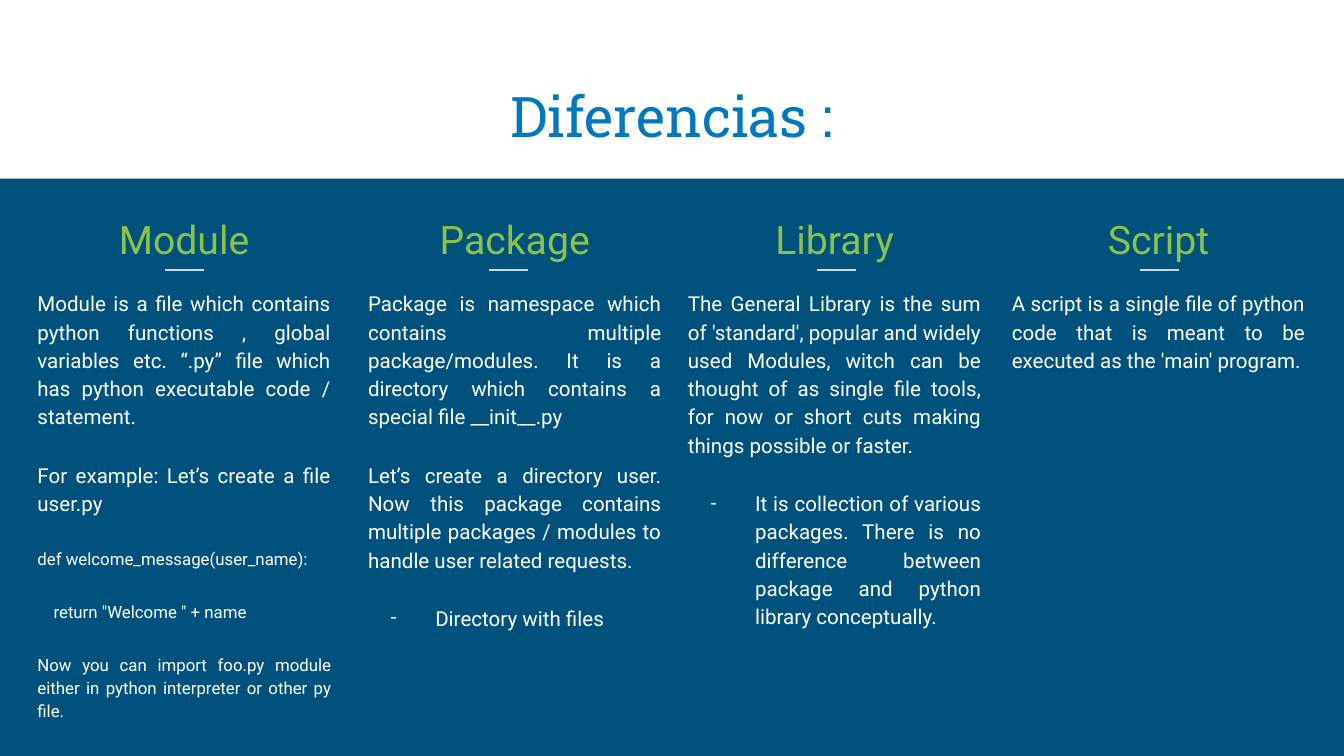
import pptx
import pptx.dml.color
import pptx.enum.shapes
import pptx.enum.text
import pptx.oxml.ns
import pptx.util
from lxml import etree

Inches = pptx.util.Inches
Pt = pptx.util.Pt
RGBColor = pptx.dml.color.RGBColor
Align = pptx.enum.text.PP_ALIGN
Anchor = pptx.enum.text.MSO_ANCHOR
qn = pptx.oxml.ns.qn

NAVY = RGBColor(0x00, 0x51, 0x7C)
WHITE = RGBColor(0xFF, 0xFF, 0xFF)
BLUE = RGBColor(0x02, 0x77, 0xBD)
GREEN = RGBColor(0x8B, 0xC3, 0x4A)
GREY = RGBColor(0xCF, 0xD8, 0xDC)

TITLE_FONT = {"name": "Roboto Slab", "size": Pt(30)}
HEADING_FONT = {"name": "Roboto", "size": Pt(21)}
BODY_FONT = {"name": "Roboto", "size": Pt(11)}
CODE_FONT = {"name": "Roboto", "size": Pt(9)}

PLAIN = {"font": BODY_FONT}
DASH = {"font": BODY_FONT, "bullet": "-", "left": 0.5, "hanging": -0.33}
CODE = {"font": CODE_FONT}
CODE_INDENTED = {"font": CODE_FONT, "left": 0.12}

SLIDE_WIDTH = Inches(10)
SLIDE_HEIGHT = SLIDE_WIDTH * 9 // 16
COLUMN_WIDTH = 2.38
DIVIDER_WIDTH = 0.29

COLUMNS = [
    {"heading": "Module", "left": 0.18, "divider": 1.23, "height": 3.43, "body": [
        ("Module is a file which contains python functions , global variables etc. "
         "“.py” file which has python executable code / statement.", PLAIN),
        ("For example: Let’s create a file user.py", PLAIN),
        ("def welcome_message(user_name):", CODE),
        ('return "Welcome " + name', CODE_INDENTED),
        ("Now you can import foo.py module either in python interpreter or other "
         "py file.", CODE),
    ]},
    {"heading": "Package", "left": 2.64, "divider": 3.64, "height": 3.43, "body": [
        ("Package is namespace which contains multiple package/modules. It is a "
         "directory which contains a special file __init__.py", PLAIN),
        ("Let’s create a directory user. Now this package contains multiple "
         "packages / modules to handle user related requests.", PLAIN),
        ("Directory with files", DASH),
    ]},
    {"heading": "Library", "left": 5.02, "divider": 6.08, "height": 3.43, "body": [
        ("The General Library is the sum of 'standard', popular and widely used "
         "Modules, witch can be thought of as single file tools, for now or short "
         "cuts making things possible or faster.", PLAIN),
        ("It is collection of various packages. There is no difference between "
         "package and python library conceptually.", DASH),
    ]},
    {"heading": "Script", "left": 7.43, "divider": 8.48, "height": 1.01, "body": [
        ("A script is a single file of python code that is meant to be executed "
         "as the 'main' program.", PLAIN),
    ]},
]


def apply_format(target, values):
    for attribute, value in values.items():
        setattr(target, attribute, value)


def add_text_frame(slide, left, top, width, height, anchor=Anchor.TOP):
    frame = slide.shapes.add_textbox(
        Inches(left), Inches(top), Inches(width), Inches(height)).text_frame
    margin = Inches(0.1)
    apply_format(frame, {
        "word_wrap": True, "vertical_anchor": anchor,
        "margin_left": margin, "margin_right": margin,
        "margin_top": margin, "margin_bottom": margin})
    return frame


def write_paragraph(paragraph, text, font, color, layout):
    apply_format(paragraph, layout)
    run = paragraph.add_run()
    run.text = text
    apply_format(run.font, font)
    run.font.color.rgb = color


def indent_paragraph(paragraph, left=0, hanging=0, bullet=None):
    properties = paragraph._p.get_or_add_pPr()
    properties.set("marL", str(Inches(left)))
    properties.set("indent", str(Inches(hanging)))
    if bullet:
        bullet_color = etree.SubElement(properties, qn("a:buClr"))
        etree.SubElement(bullet_color, qn("a:srgbClr"), val=str(WHITE))
        etree.SubElement(properties, qn("a:buFont"), typeface=BODY_FONT["name"])
        etree.SubElement(properties, qn("a:buChar"), char=bullet)


def add_header(slide, left, top, width, height):
    band = slide.shapes.add_shape(
        pptx.enum.shapes.MSO_SHAPE.RECTANGLE,
        Inches(left), Inches(top), Inches(width), Inches(height))
    band.shadow.inherit = False
    band.fill.solid()
    band.fill.fore_color.rgb = WHITE
    band.line.fill.background()
    title = add_text_frame(
        slide, left + 0.34, top + 0.41, 9.32, 0.8, Anchor.BOTTOM)
    write_paragraph(title.paragraphs[0], "Diferencias :", TITLE_FONT, BLUE,
                    {"alignment": Align.CENTER})


def add_divider(slide, left, top):
    divider = slide.shapes.add_connector(
        pptx.enum.shapes.MSO_CONNECTOR.STRAIGHT,
        Inches(left), Inches(top), Inches(left + DIVIDER_WIDTH), Inches(top))
    divider.line.color.rgb = GREY
    divider.line.width = Pt(0.75)
    etree.SubElement(divider._element.spPr, qn("a:effectLst"))


def add_column(slide, column, top):
    left = column["left"]
    heading = add_text_frame(slide, left, top, COLUMN_WIDTH, 0.48)
    write_paragraph(heading.paragraphs[0], column["heading"], HEADING_FONT, GREEN, {
        "alignment": Align.CENTER, "line_spacing": 1.15, "space_after": Pt(16)})
    add_divider(slide, column["divider"], top + 0.56)

    body = add_text_frame(slide, left, top + 0.59, COLUMN_WIDTH, column["height"])
    for index, (text, style) in enumerate(column["body"]):
        paragraph = body.add_paragraph() if index else body.paragraphs[0]
        write_paragraph(paragraph, text, style["font"], WHITE, {
            "alignment": Align.JUSTIFY, "line_spacing": 1.15,
            "space_before": Pt(16 if index else 0)})
        indent_paragraph(paragraph, style.get("left", 0),
                         style.get("hanging", 0), style.get("bullet"))


def main():
    presentation = pptx.Presentation()
    apply_format(presentation, {
        "slide_width": SLIDE_WIDTH, "slide_height": SLIDE_HEIGHT})
    slide = presentation.slides.add_slide(presentation.slide_layouts[6])
    slide.background.fill.solid()
    slide.background.fill.fore_color.rgb = NAVY
    add_header(slide, 0, 0, 10.02, 1.33)
    for column in COLUMNS:
        add_column(slide, column, 1.45)
    presentation.save("out.pptx")


if __name__ == "__main__":
    main()
